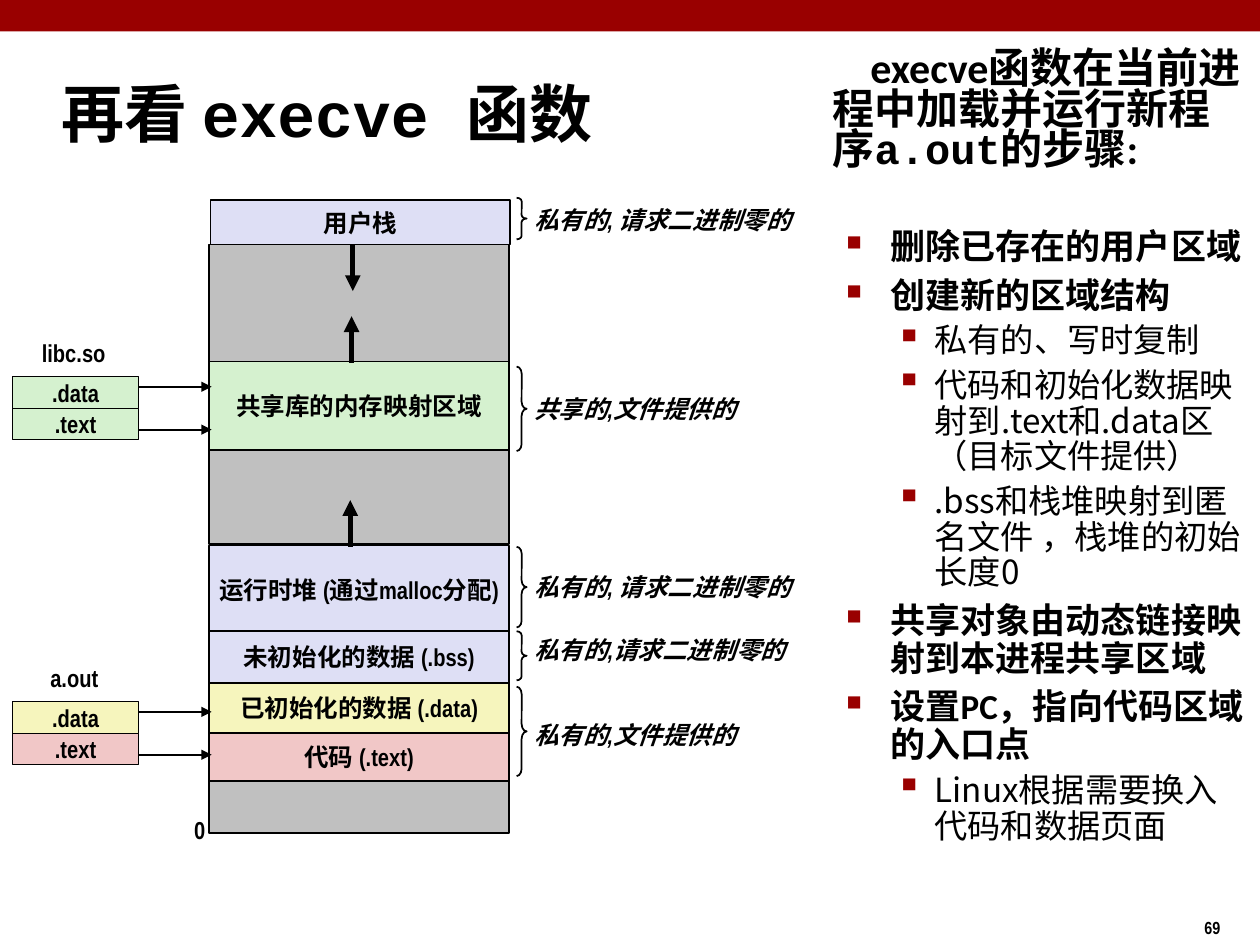
import pptx
import pptx.dml.color
import pptx.enum.shapes
import pptx.enum.text
import pptx.oxml
import pptx.oxml.ns
import pptx.util

Inches = pptx.util.Inches
Pt = pptx.util.Pt
RGBColor = pptx.dml.color.RGBColor
SHAPES = pptx.enum.shapes.MSO_SHAPE
ALIGN = pptx.enum.text.PP_ALIGN
ANCHOR = pptx.enum.text.MSO_ANCHOR

BLACK = RGBColor(0x00, 0x00, 0x00)
RED = RGBColor(0x99, 0x00, 0x00)
GRAY = RGBColor(0xC0, 0xC0, 0xC0)
LILAC = RGBColor(0xDE, 0xDF, 0xF5)
GREEN = RGBColor(0xD5, 0xF1, 0xCF)
YELLOW = RGBColor(0xF6, 0xF5, 0xBD)
PINK = RGBColor(0xF1, 0xC7, 0xC7)

NARROW, SANS, MONO, CJK = "Arial Narrow", "Calibri", "Courier New", "Noto Sans CJK SC"

# Content: memory regions as (text, left, top, height, fill)
REGIONS = [
    ("", 1.66, 1.94, 0.94, GRAY),
    ("共享库的内存映射区域", 1.66, 2.87, 0.7, GREEN),
    ("", 1.66, 3.57, 0.75, GRAY),
    ("运行时堆 (通过malloc分配)", 1.66, 4.33, 0.7, LILAC),
    ("代码 (.text)", 1.66, 5.8, 0.41, PINK),
    ("已初始化的数据 (.data)", 1.66, 5.41, 0.41, YELLOW),
    ("未初始化的数据 (.bss)", 1.66, 5.01, 0.41, LILAC),
    ("用户栈", 1.67, 1.59, 0.35, LILAC),
    ("", 1.66, 6.2, 0.41, GRAY),
]
# (text, text top, text width, brace top, brace height)
NOTES = [
    ("私有的, 请求二进制零的", 1.57, 2.33, 1.57, 0.33),
    ("共享的,文件提供的", 3.07, 1.9, 2.91, 0.67),
    ("私有的, 请求二进制零的", 4.49, 2.33, 4.34, 0.64),
    ("私有的,请求二进制零的", 4.99, 2.29, 5.01, 0.39),
    ("私有的,文件提供的", 5.66, 1.9, 5.45, 0.71),
]
# (file name, label left, label width, top of sections, section fills)
FILES = [
    ("libc.so", 0.23, 0.71, 2.99, (GREEN, GREEN)),
    ("a.out", 0.3, 0.58, 5.57, (YELLOW, PINK)),
]
# Growth arrows as (x, from y, to y)
GROWTH = [(2.78, 4.34, 3.97), (2.79, 2.88, 2.51), (2.8, 1.94, 2.31)]

TITLE = [("再看 ", SANS), ("execve ", MONO), ("函数", SANS)]
INTRO = [("execve函数在当前进程中加载并运行新程序", SANS), ("a.out的步骤", MONO), (":", SANS)]
STEPS = [
    (0, "删除已存在的用户区域"),
    (0, "创建新的区域结构"),
    (1, "私有的、写时复制"),
    (1, "代码和初始化数据映射到.text和.data区（目标文件提供）"),
    (1, ".bss和栈堆映射到匿名文件 ，栈堆的初始长度0"),
    (0, "共享对象由动态链接映射到本进程共享区域"),
    (0, "设置PC，指向代码区域的入口点"),
    (1, "Linux根据需要换入代码和数据页面"),
]
LEVELS = [
    dict(size=20, font=SANS, bold=True, line=21.7, before=6,
         margin=0.46, indent=-0.35, bullet=("■", 60)),
    dict(size=19, font=CJK, bold=False, line=20.5, before=4.8,
         margin=0.81, indent=-0.31, bullet=("▪", 110)),
]


def add_element(parent, tag, **attributes):
    element = pptx.oxml.parse_xml(f"<a:{tag} {pptx.oxml.ns.nsdecls('a')}/>")
    for name, value in attributes.items():
        element.set(name, str(value))
    parent.append(element)
    return element


def write(paragraph, text, size=14, font=NARROW, bold=True, italic=False, align=ALIGN.LEFT,
          line=None, before=0, margin=0, indent=0, bullet=None):
    """Fill a paragraph with a string or a list of (text, font) runs."""
    properties = paragraph._p.get_or_add_pPr()
    properties.set("marL", str(Inches(margin)))
    properties.set("indent", str(Inches(indent)))
    if bullet:
        color = add_element(properties, "buClr")
        add_element(color, "srgbClr", val=RED)
        add_element(properties, "buSzPct", val=bullet[1] * 1000)
        add_element(properties, "buChar", char=bullet[0])
    paragraph.alignment = align
    paragraph.space_before = Pt(before)
    if line:
        paragraph.line_spacing = Pt(line)
    for content, name in [(text, font)] if isinstance(text, str) else text:
        run = paragraph.add_run()
        run.text = content
        run.font.size, run.font.name = Pt(size), name
        run.font.bold, run.font.italic = bold, italic
        run.font.color.rgb = BLACK
        add_element(run._r.get_or_add_rPr(), "ea", typeface=CJK)


def add_text(text, left, top, width, height, wrap=False, anchor=ANCHOR.TOP, **style):
    box = slide.shapes.add_textbox(Inches(left), Inches(top), Inches(width), Inches(height))
    box.text_frame.word_wrap = wrap
    box.text_frame.vertical_anchor = anchor
    write(box.text_frame.paragraphs[0], text, **style)
    return box.text_frame


def add_shape(kind, left, top, width, height, fill=None, line=1, text=""):
    shape = slide.shapes.add_shape(kind, Inches(left), Inches(top), Inches(width), Inches(height))
    shape.shadow.inherit = False
    if fill is None:
        shape.fill.background()
    else:
        shape.fill.solid()
        shape.fill.fore_color.rgb = fill
    if line:
        shape.line.color.rgb, shape.line.width = BLACK, Pt(line)
    else:
        shape.line.fill.background()
    if text:
        shape.text_frame.word_wrap = False
        shape.text_frame.vertical_anchor = ANCHOR.MIDDLE
        write(shape.text_frame.paragraphs[0], text, align=ALIGN.CENTER)
    return shape


def add_arrow(x1, y1, x2, y2, width):
    arrow = slide.shapes.add_connector(pptx.enum.shapes.MSO_CONNECTOR.STRAIGHT,
                                       Inches(x1), Inches(y1), Inches(x2), Inches(y2))
    arrow.line.color.rgb, arrow.line.width = BLACK, Pt(width)
    add_element(arrow.line._get_or_add_ln(), "tailEnd", type="triangle")
    add_element(arrow._element.spPr, "effectLst")


presentation = pptx.Presentation()
presentation.slide_width, presentation.slide_height = Inches(10), Inches(7.5)
slide = presentation.slides.add_slide(presentation.slide_layouts[6])

# Top band, page number and title
add_shape(SHAPES.RECTANGLE, 0, 0, 10, 0.25, RED, line=0)
add_text("69", 9.46, 7.23, 0.75, 0.27, wrap=True, size=10)
add_text(TITLE, 0.39, 0.48, 8.3, 0.83, wrap=True, anchor=ANCHOR.MIDDLE, size=36)

# Steps of execve
steps = add_text(INTRO, 6.51, 0.33, 3.48, 6.93, wrap=True, size=24, line=23.1, indent=0.3)
steps.margin_top = Inches(0.08)
for index, (level, text) in enumerate(STEPS):
    style = dict(LEVELS[level])
    if index == 0:
        style["before"] = 32
    paragraph = steps.add_paragraph()
    paragraph.level = level
    write(paragraph, text, **style)

# Address space
for text, left, top, height, fill in REGIONS:
    add_shape(SHAPES.RECTANGLE, left, top, 2.38, height, fill, text=text)
for x, start, end in GROWTH:
    add_arrow(x, start, x, end, 3)
add_text("0", 1.44, 6.42, 0.29, 0.34, align=ALIGN.CENTER)

# Braces and notes
BRACE_WIDTH = 0.08
for text, top, width, brace_top, brace_height in NOTES:
    brace = add_shape(SHAPES.RIGHT_BRACE, 4.1, brace_top, BRACE_WIDTH, brace_height)
    brace.adjustments[0] = brace_height / 12 / BRACE_WIDTH
    add_text(text, 4.14, top, width, 0.34, anchor=ANCHOR.MIDDLE, italic=True)

# Object files with their sections
for name, left, width, top, fills in FILES:
    add_text(name, left, top - 0.33, width, 0.31, align=ALIGN.CENTER, line=15)
    for row, (section, fill) in enumerate(zip((".data", ".text"), fills)):
        add_shape(SHAPES.RECTANGLE, 0.1, top + row * 0.25, 1, 0.25, fill, 0.75, section)
        arrow_y = top + 0.08 + row * 0.34
        add_arrow(1.1, arrow_y, 1.68, arrow_y, 1)

presentation.save("out.pptx")
